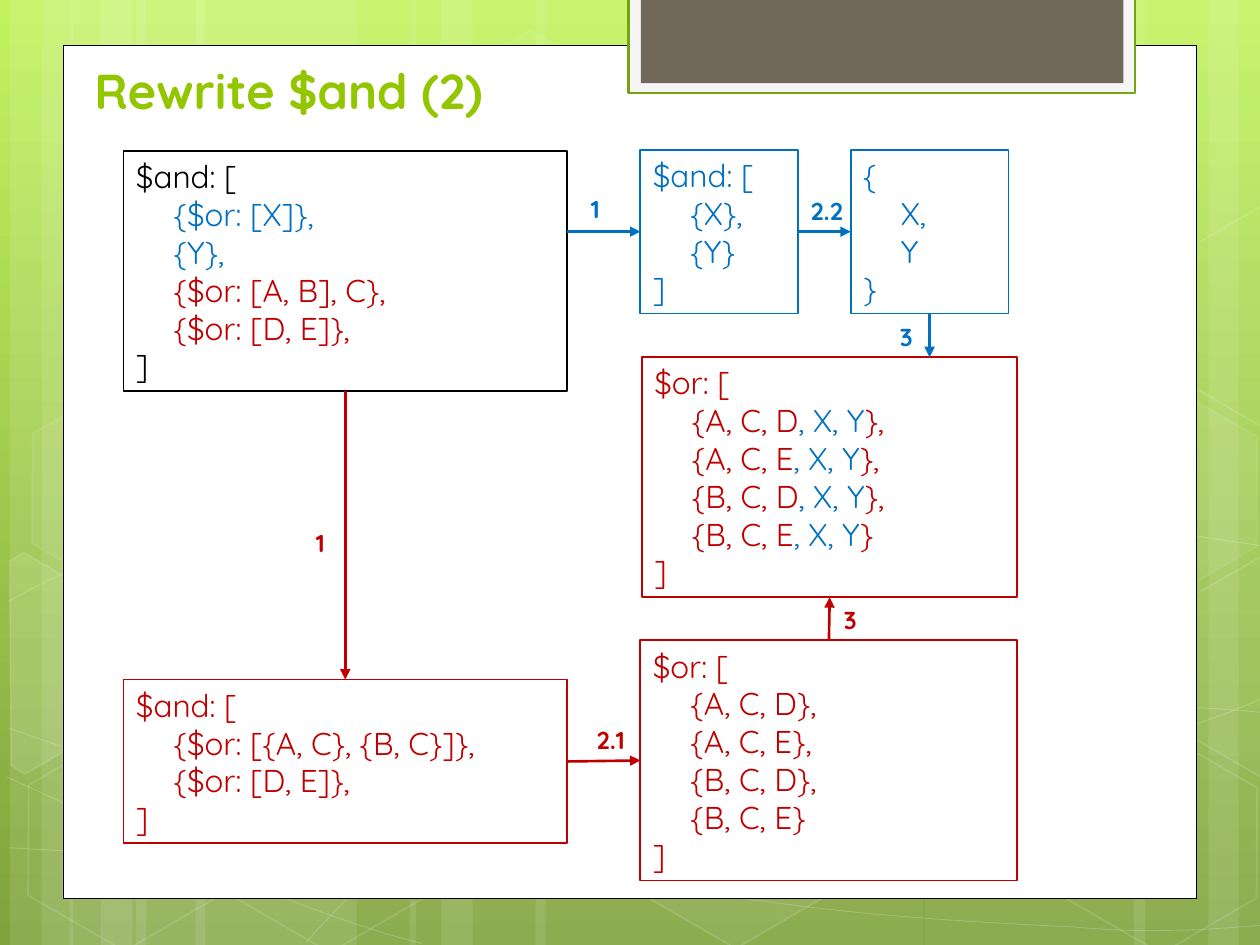
from math import cos, radians, sin

from lxml.etree import SubElement
from pptx import Presentation
from pptx.dml.color import RGBColor
from pptx.enum.shapes import MSO_CONNECTOR, MSO_SHAPE
from pptx.enum.text import MSO_ANCHOR, MSO_AUTO_SIZE, PP_ALIGN
from pptx.oxml.ns import qn
from pptx.util import Cm, Pt

WHITE, BLACK = RGBColor(255, 255, 255), RGBColor(0, 0, 0)
BLUE, RED = RGBColor(0x00, 0x70, 0xC0), RGBColor(0xC0, 0x00, 0x00)
LIME, GREEN = RGBColor(0x94, 0xC6, 0x00), RGBColor(0x74, 0xA5, 0x10)
PALE, TAUPE = RGBColor(0xF5, 0xF5, 0xF5), RGBColor(0x71, 0x68, 0x5A)
SKY, MEADOW = RGBColor(0xC2, 0xF3, 0x5F), RGBColor(0x80, 0xA3, 0x3D)
FONT = "Quicksand"
INDENT, LINE_PITCH, BOX_MARGIN = 0.76, 0.77, 0.22
TILT = 30

# Content: name -> left, top, width, colour, lines (a line may be spans of text and colour)
MIXED = [[(f"{{{group}", RED), (", X, Y", BLUE), (end, RED)] for group, end in
         (("A, C, D", "},"), ("A, C, E", "},"), ("B, C, D", "},"), ("B, C, E", "}"))]
BOXES = {
    "start": (2.49, 3.05, 8.94, BLACK, [
        "$and: [", [("{$or: [X]},", BLUE)], [("{Y},", BLUE)],
        [("{$or: [A, B], C},", RED)], [("{$or: [D, E]},", RED)], "]"]),
    "merged": (2.49, 13.7, 8.94, RED, [
        "$and: [", "{$or: [{A, C}, {B, C}]},", "{$or: [D, E]},", "]"]),
    "plain": (12.91, 3.02, 3.18, BLUE, ["$and: [", "{X},", "{Y}", "]"]),
    "flat": (17.15, 3.02, 3.18, BLUE, ["{", "X,", "Y", "}"]),
    "product": (12.91, 12.91, 7.6, RED, [
        "$or: [", "{A, C, D},", "{A, C, E},", "{B, C, D},", "{B, C, E}", "]"]),
    "result": (12.94, 7.2, 7.57, RED, ["$or: [", *MIXED, "]"]),
}
TOP, LEFT, BOTTOM, RIGHT = range(4)
# Each end is a (box, side) joint or a free (x, y) point
ARROWS = [
    (("start", BOTTOM), ("merged", TOP), RED),
    ((11.43, 4.67), ("plain", LEFT), BLUE),
    (("merged", RIGHT), ("product", LEFT), RED),
    (("product", TOP), ("result", BOTTOM), RED),
    (("flat", BOTTOM), (18.74, 7.2), BLUE),
    (("plain", RIGHT), ("flat", LEFT), BLUE),
]
LABELS = [("1", 11.66, 3.79, 0.86, BLUE), ("1", 6.12, 10.52, 0.86, RED),
          ("2.1", 11.78, 14.5, 1.22, RED), ("3", 16.76, 12.07, 0.79, RED),
          ("3", 17.89, 6.36, 0.79, BLUE), ("2.2", 16.09, 3.82, 1.68, BLUE)]

# Backdrop: stripes (left, width), hexagons (left, top, fill %, line %)
STRIPES = [(2.74, 4.45), (0.2, 1.27), (0.84, 2.11), (3.94, 4.45), (1.4, 1.27), (2.03, 2.11),
           (18.64, 4.45), (24.36, 1.27), (22.86, 2.11), (10.8, 7.82), (8.26, 1.27), (8.89, 2.11)]
HEXAGONS = [(8.48, 0.91, 4, 8), (12.6, 14.96, 6, 12), (0.28, 15.01, 0, 12), (0.36, 7.92, 7, 8),
            (4.42, 15.04, 0, 12), (19.13, 11.51, 10, 12), (21.18, 15.06, 0, 12),
            (21.18, 7.98, 7, 8)]
# Hexagons cut by the page edge: fill %, centre, corners as seen on the page
CUT_HEXAGONS = [
    (10, (0.91, 13.61), [(0.2, 11.3), (0.48, 11.13), (2.44, 12.27), (2.41, 14.48),
                         (0.51, 15.6), (0.23, 15.42)]),
    (4, (25.02, 13.21), [(23.52, 12.32), (25.45, 11.2), (25.63, 11.33), (25.63, 15.57),
                         (25.45, 15.67), (23.52, 14.55)]),
    (0, (25.02, 6.12), [(23.52, 5.26), (25.45, 4.14), (25.65, 4.27), (25.63, 8.51),
                        (25.45, 8.61), (23.52, 7.49)]),
]
CURVES = [  # chained cubic Bézier points
    [(0.18, 17.09), (1.55, 17.17), (2.92, 17.25), (4.83, 17.22), (6.73, 17.2), (9.09, 17.15),
     (11.63, 16.89), (14.17, 16.64), (17.78, 16.15), (20.12, 15.67), (22.43, 15.19),
     (24.82, 14.43), (25.58, 14)],
    [(0.18, 12.12), (0.91, 11.71), (1.65, 11.33), (3.07, 10.95), (4.52, 10.57), (6.58, 10.01),
     (8.81, 9.83), (11.07, 9.65), (13.82, 9.63), (16.61, 9.83), (19.41, 10.03),
     (24.05, 10.82), (25.58, 11.02)],
    [(0.15, 15.67), (3.23, 17.07), (6.27, 18.47), (8.51, 19.02)],
    [(0.18, 14.68), (0.97, 14.96), (1.78, 15.24), (3.25, 15.65), (4.72, 16.03), (6.93, 16.66),
     (9.07, 17.09), (11.18, 17.53), (13.84, 17.98), (15.95, 18.24), (18.06, 18.52),
     (20.32, 18.62), (21.67, 18.69), (23.01, 18.8), (23.34, 18.75), (24, 18.75),
     (24.66, 18.72), (25.12, 18.67), (25.58, 18.64)],
    [(6.15, 19.02), (6.6, 18.52), (7.06, 18.01), (7.67, 17.55), (8.28, 17.07), (9.14, 16.59),
     (9.86, 16.23), (10.57, 15.88), (11, 15.72), (11.91, 15.47), (12.85, 15.21),
     (14.55, 14.86), (15.44, 14.68), (16.36, 14.5), (16.48, 14.5), (17.27, 14.45),
     (18.06, 14.38), (19.3, 14.3), (20.17, 14.27), (21.06, 14.25), (22.5, 14.27),
     (22.5, 14.27), (23.07, 14.27), (23.64, 14.27), (24.21, 14.27), (24.66, 14.3),
     (25.1, 14.33), (25.32, 14.35), (25.55, 14.38), (25.48, 14.35), (25.55, 14.38)],
]


def paint(fill, color, opacity=100):
    if color is None or opacity == 0:
        fill.background()
        return
    fill.solid()
    fill.fore_color.rgb = color
    if opacity < 100:
        tint = fill._xPr.find(qn("a:solidFill"))[0]
        SubElement(tint, qn("a:alpha")).set("val", str(opacity * 1000))


def style(shape, fill=None, line=None, weight=1, fill_opacity=100, line_opacity=100):
    shape.shadow.inherit = False
    paint(shape.fill, fill, fill_opacity)
    paint(shape.line.fill, line, line_opacity)
    if line is not None:
        shape.line.width = Pt(weight)
    return shape


def add_preset(left, top, width, height, kind=MSO_SHAPE.RECTANGLE, **look):
    return style(shapes.add_shape(kind, Cm(left), Cm(top), Cm(width), Cm(height)), **look)


def add_outline(points, closed, **look):
    builder = shapes.build_freeform(*(Cm(value) for value in points[0]))
    builder.add_line_segments([(Cm(x), Cm(y)) for x, y in points[1:]], close=closed)
    return style(builder.convert_to_shape(), **look)


def bend(outline):
    """Turn each three straight segments into one cubic curve."""
    segments = list(outline._element.iter(qn("a:lnTo")))
    track = segments[0].getparent()
    for first in range(0, len(segments), 3):
        curve = SubElement(track, qn("a:cubicBezTo"))
        for segment in segments[first:first + 3]:
            curve.append(segment[0])
            track.remove(segment)


def turn_back(point, center):
    """Rotate a point about the centre, against the tilt."""
    angle, x, y = radians(TILT), point[0] - center[0], point[1] - center[1]
    return (center[0] + x * cos(angle) + y * sin(angle),
            center[1] - x * sin(angle) + y * cos(angle))


def write(frame, lines, size, color, bold=False, anchor=MSO_ANCHOR.TOP):
    """Write lines of text; those between the first and the last are indented."""
    frame.word_wrap, frame.auto_size = True, MSO_AUTO_SIZE.NONE
    frame.vertical_anchor = anchor
    for index, line in enumerate(lines):
        para = frame.add_paragraph() if index else frame.paragraphs[0]
        para.alignment = PP_ALIGN.LEFT
        if 0 < index < len(lines) - 1:
            para._p.get_or_add_pPr().set("marL", str(Cm(INDENT)))
        for text, tint in [(line, color)] if isinstance(line, str) else line:
            span = para.add_run()
            span.text = text
            span.font.name, span.font.size, span.font.bold = FONT, Pt(size), bold
            span.font.color.rgb = tint


deck = Presentation()
deck.slide_width, deck.slide_height = Cm(25.4), Cm(19.05)
page = deck.slides.add_slide(deck.slide_layouts[5])
shapes = page.shapes

# Backdrop
backdrop = page.background.fill
backdrop.gradient()
backdrop.gradient_angle = 270
for stop, color, position in zip(backdrop.gradient_stops, (SKY, MEADOW), (0, 1)):
    stop.color.rgb, stop.position = color, position
for left, width in STRIPES:
    add_preset(left, 0, width, 19.05, fill=WHITE, fill_opacity=10)
for points in CURVES:
    bend(add_outline(points, False, line=WHITE, weight=0.5, line_opacity=20))
for left, top, fill_opacity, line_opacity in HEXAGONS:
    hexagon = add_preset(left, top, 4.45, 3.86, MSO_SHAPE.HEXAGON, fill=WHITE, line=WHITE,
                         fill_opacity=fill_opacity, line_opacity=line_opacity)
    hexagon.adjustments[0] = 0.285
    hexagon.rotation = TILT
for fill_opacity, center, corners in CUT_HEXAGONS:
    hexagon = add_outline([turn_back(corner, center) for corner in corners], True, fill=WHITE,
                          line=WHITE, fill_opacity=fill_opacity, line_opacity=12)
    hexagon.rotation = TILT

# White panel and hanging tab
add_preset(1.27, 0.91, 22.86, 17.2, fill=WHITE, line=BLACK, weight=0.5)
add_preset(12.67, -0.05, 10.22, 1.93, fill=PALE, line=GREEN, weight=1.25)
add_preset(12.92, -0.05, 9.73, 1.73, fill=TAUPE)

# Title, raised above the panel
title = shapes.title
title.left, title.top, title.width, title.height = Cm(1.65), Cm(0.84), Cm(10.85), Cm(1.7)
write(title.text_frame, ["Rewrite $and (2)"], 28, LIME, bold=True, anchor=MSO_ANCHOR.BOTTOM)
shapes._spTree.append(title._element)

# Expression boxes
boxes = {}
for name, (left, top, width, color, lines) in BOXES.items():
    height = LINE_PITCH * len(lines) + BOX_MARGIN
    boxes[name] = add_preset(left, top, width, height, line=color)
    write(boxes[name].text_frame, lines, 18, color)

# Arrows
for start, end, color in ARROWS:
    points = [(0, 0) if isinstance(spot[0], str) else spot for spot in (start, end)]
    arrow = shapes.add_connector(MSO_CONNECTOR.STRAIGHT,
                                 *(Cm(value) for point in points for value in point))
    for spot, join in ((start, arrow.begin_connect), (end, arrow.end_connect)):
        if isinstance(spot[0], str):
            join(boxes[spot[0]], spot[1])
    arrow.line.color.rgb, arrow.line.width = color, Pt(1.5)
    SubElement(arrow.line._get_or_add_ln(), qn("a:tailEnd")).set("type", "triangle")
    SubElement(arrow._element.spPr, qn("a:effectLst"))

# Step labels
for text, left, top, width, color in LABELS:
    label = shapes.add_textbox(Cm(left), Cm(top), Cm(width), Cm(0.86))
    write(label.text_frame, [text], 14, color, bold=True)

deck.save("out.pptx")
